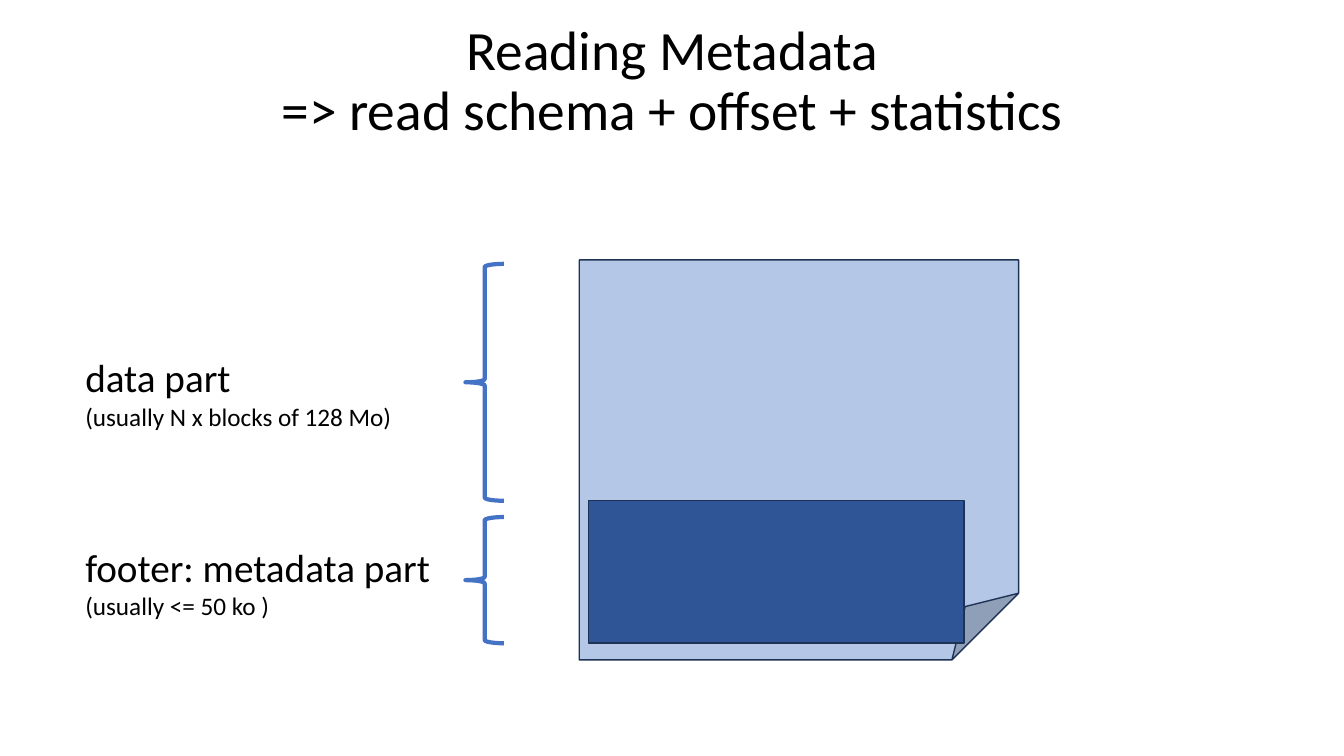
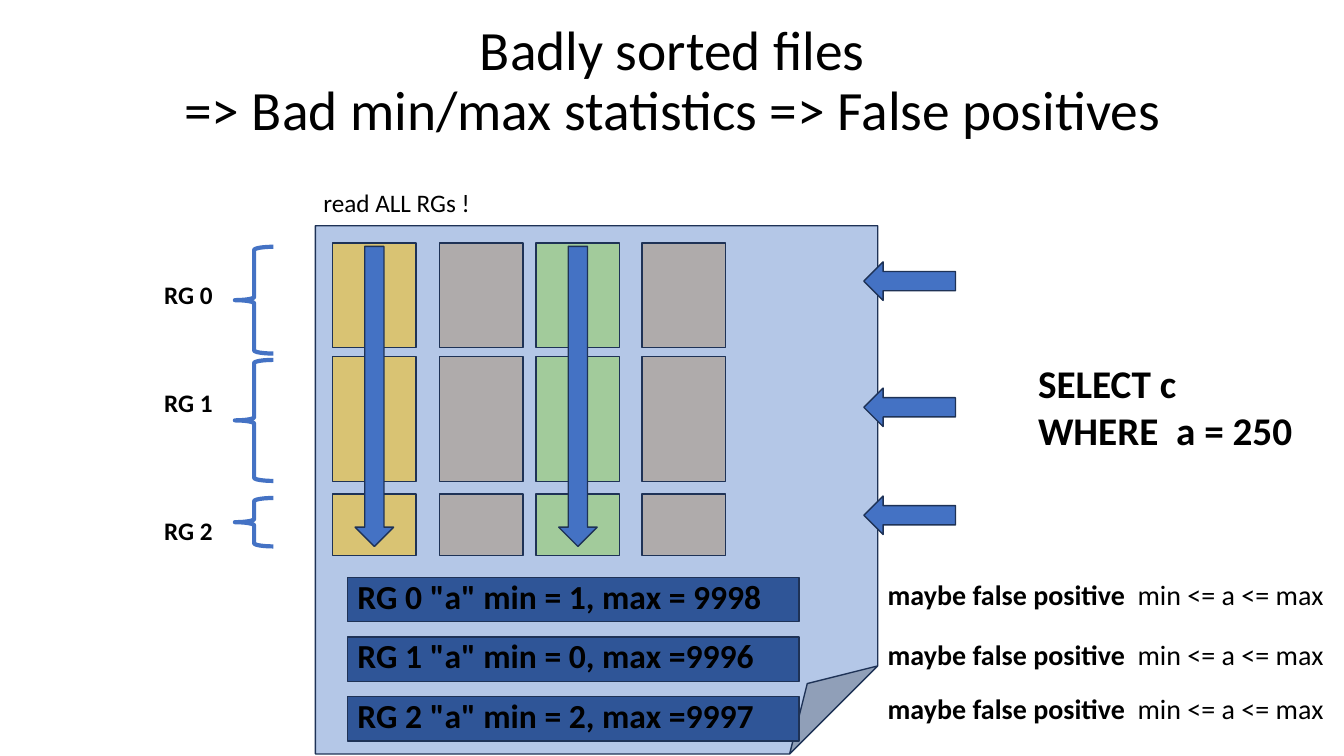
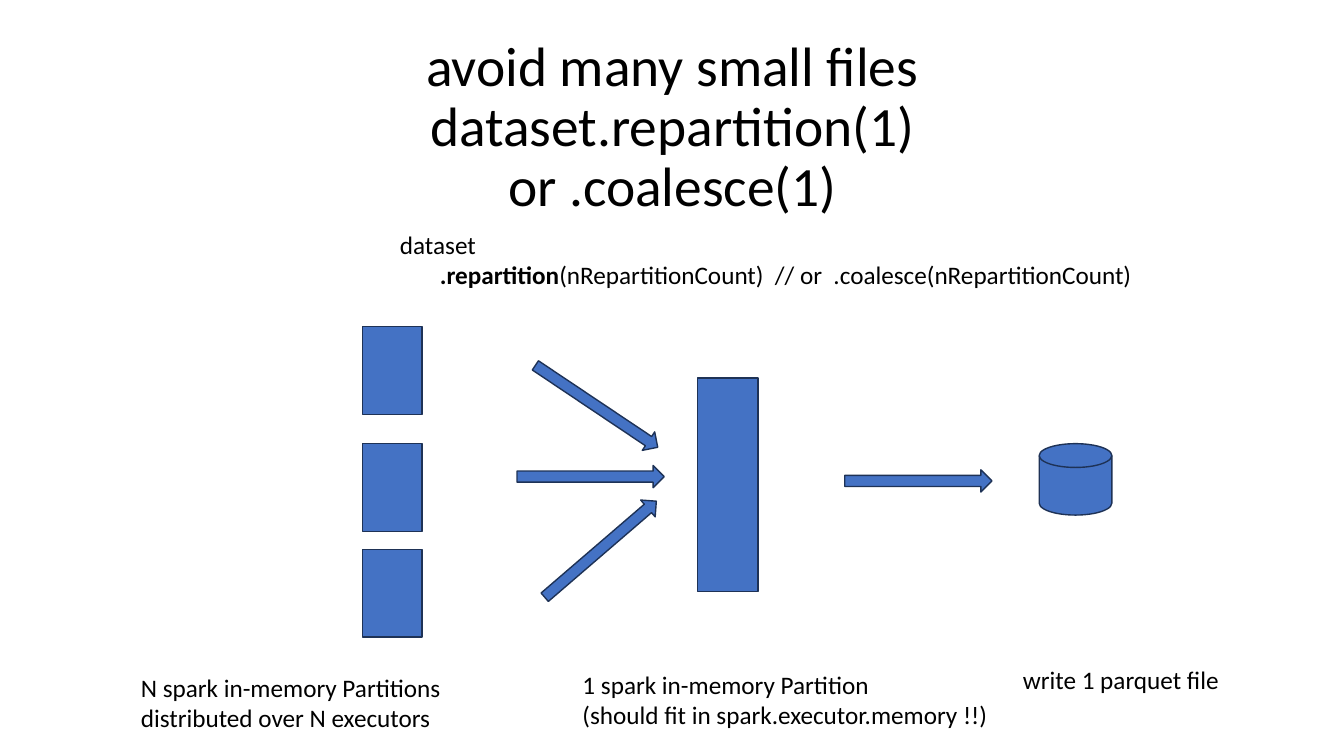
from dataclasses import dataclass

from lxml import etree
from pptx import Presentation
from pptx import util as u
from pptx.dml.color import RGBColor
from pptx.enum import shapes, text
from pptx.oxml.ns import qn

SHAPE = shapes.MSO_SHAPE


@dataclass(frozen=True)
class Theme:
    font: str = "Calibri"
    ink: str = "000000"
    outline: str = "1E3256"
    accent: str = "4472C4"
    file: str = "B4C7E7"
    metadata: str = "2F5597"
    unread: str = "AFABAB"
    filter_column: str = "FFC000"
    result_column: str = "92D050"
    title_size: float = 39.6
    large: int = 28
    medium: int = 24
    verdict: int = 20
    small: int = 18
    thin: int = 1
    thick: int = 3


THEME = Theme()
TITLE_LEFT, TITLE_WIDTH = 2.34, 29.21


# Formatting helpers
def apply(target, values):
    for name, value in values.items():
        setattr(target, name, value)


def place(shape, left, top, width, height):
    apply(shape, {"left": u.Cm(left), "top": u.Cm(top),
                  "width": u.Cm(width), "height": u.Cm(height)})


def style_font(font, size, **formats):
    apply(font, {"name": THEME.font, "size": u.Pt(size), **formats})
    font.color.rgb = RGBColor.from_string(THEME.ink)


def add_tab_stop(paragraph, position):
    tabs = etree.SubElement(paragraph._p.get_or_add_pPr(), qn("a:tabLst"))
    etree.SubElement(tabs, qn("a:tab"), pos=str(u.Cm(position)), algn="l")


def set_opacity(shape, percent):
    colour = shape.fill._xPr.find(qn("a:solidFill"))[0]
    etree.SubElement(colour, qn("a:alpha"), val=str(percent * 1000))


# Kinds of element
def add_title_slide(presentation, lines, top, height):
    slide = presentation.slides.add_slide(presentation.slide_layouts[5])
    title = slide.shapes.title
    place(title, TITLE_LEFT, top, TITLE_WIDTH, height)
    frame = title.text_frame
    frame.text = "\v".join(lines)
    apply(frame, {"auto_size": text.MSO_AUTO_SIZE.NONE, "word_wrap": True,
                  "vertical_anchor": text.MSO_ANCHOR.MIDDLE})
    paragraph = frame.paragraphs[0]
    apply(paragraph, {"alignment": text.PP_ALIGN.CENTER, "line_spacing": 0.9})
    for run in paragraph.runs:
        style_font(run.font, THEME.title_size)
    return slide


def add_box(slide, kind, at, fill, rotation=0, opacity=None):
    shape = slide.shapes.add_shape(kind, *map(u.Cm, at))
    shape.shadow.inherit = False
    shape.rotation = rotation
    shape.fill.solid()
    shape.fill.fore_color.rgb = RGBColor.from_string(fill)
    if opacity:
        set_opacity(shape, opacity)
    shape.line.color.rgb = RGBColor.from_string(THEME.outline)
    shape.line.width = u.Pt(THEME.thin)
    return shape


def add_brace(slide, left, top, height):
    brace = add_box(slide, SHAPE.LEFT_BRACE, (left, top, 0.97, height), THEME.accent)
    brace.fill.background()
    brace.line.color.rgb = RGBColor.from_string(THEME.accent)
    brace.line.width = u.Pt(THEME.thick)


def add_label(slide, at, lines, tab=None):
    """Each line is a list of (wording, size, bold) runs."""
    frame = slide.shapes.add_textbox(*map(u.Cm, at)).text_frame
    apply(frame, {"word_wrap": True, "margin_right": 0})
    for index, runs in enumerate(lines):
        paragraph = frame.add_paragraph() if index else frame.paragraphs[0]
        if tab:
            add_tab_stop(paragraph, tab)
        for wording, size, bold in runs:
            run = paragraph.add_run()
            run.text = wording
            style_font(run.font, size, bold=bold)


def add_statistics_bar(slide, at, wording):
    bar = add_box(slide, SHAPE.RECTANGLE, at, THEME.metadata)
    frame = bar.text_frame
    apply(frame, {"margin_top": 0, "margin_bottom": u.Cm(0.2), "word_wrap": True,
                  "vertical_anchor": text.MSO_ANCHOR.MIDDLE})
    paragraph = frame.paragraphs[0]
    paragraph.alignment = text.PP_ALIGN.LEFT
    run = paragraph.add_run()
    run.text = wording
    style_font(run.font, THEME.medium, bold=True)


# Slides
def build_metadata_slide(presentation):
    slide = add_title_slide(
        presentation,
        ["Reading Metadata", "=> read schema + offset + statistics"], 0.38, 3.4)
    add_box(slide, SHAPE.FOLDED_CORNER, (14.6, 6.55, 11.07, 10.08), THEME.file)
    add_box(slide, SHAPE.RECTANGLE, (14.83, 12.62, 9.47, 3.58), THEME.metadata)
    parts = [
        ("data part", "(usually N x blocks of 128 Mo)", 8.79, 6.65, 5.97),
        ("footer: metadata part", "(usually <= 50 ko )", 13.56, 13.03, 3.18),
    ]
    for name, detail, label_top, brace_top, brace_height in parts:
        add_brace(slide, 11.73, brace_top, brace_height)
        add_label(slide, (1.9, label_top, 9.5, 2.24),
                  [[(name, THEME.large, False)], [(detail, THEME.small, False)]])


def build_sorting_slide(presentation):
    slide = add_title_slide(
        presentation,
        ["Badly sorted files", "=> Bad min/max statistics => False positives"],
        0.33, 3.48)
    add_label(slide, (7.9, 4.6, 5, 1.02), [[("read ALL RGs !", THEME.small, False)]])
    add_box(slide, SHAPE.FOLDED_CORNER, (7.95, 5.69, 14.17, 13.31), THEME.file)

    # Column chunks: left, fill, opacity
    chunk_width, arrow_width = 2.11, 0.97
    columns = [
        (8.38, THEME.filter_column, 50),
        (11.07, THEME.unread, None),
        (13.51, THEME.result_column, 50),
        (16.18, THEME.unread, None),
    ]
    # Row groups: chunk top and height, brace top and height,
    # then tops of label, arrow, bar and verdict
    groups = [
        ('RG 0 "a" min = 1, max = 9998', 6.12, 2.64, 6.22, 2.69, 6.91, 6.6, 14.55, 14.43),
        ('RG 1 "a" min = 0, max =9996', 8.98, 3.15, 9.07, 3.05, 9.63, 9.78, 16.05, 15.95),
        ('RG 2 "a" min = 2, max =9997', 12.45, 1.55, 12.55, 1.22, 12.85, 12.5, 17.55, 17.3),
    ]
    for index, (statistics, top, height, brace_top, brace_height,
                label_top, arrow_top, bar_top, verdict_top) in enumerate(groups):
        for left, fill, opacity in columns:
            add_box(slide, SHAPE.RECTANGLE, (left, top, chunk_width, height),
                    fill, opacity=opacity)
        add_brace(slide, 5.92, brace_top, brace_height)
        add_label(slide, (3.89, label_top, 2, 1.02),
                  [[(f"RG {index}", THEME.small, True)]])
        add_box(slide, SHAPE.LEFT_ARROW, (21.77, arrow_top, 2.31, 0.97), THEME.accent)
        add_statistics_bar(slide, (8.76, bar_top, 11.38, 1.12), statistics)
        add_label(slide, (22.12, verdict_top, 11.74, 1.12),
                  [[("maybe false positive", THEME.verdict, True),
                    ("\tmin <= a <= max", THEME.verdict, False)]], tab=6.3)

    # Columns that are read in full
    for left, _, opacity in columns:
        if opacity:
            arrow_left = left + (chunk_width - arrow_width) / 2
            add_box(slide, SHAPE.DOWN_ARROW,
                    (arrow_left, 6.21, arrow_width, 7.56), THEME.accent)

    add_label(slide, (25.91, 8.94, 7.6, 2.64),
              [[("SELECT c", THEME.large, True)],
               [("WHERE  a = 250", THEME.large, True)]])


def build_repartition_slide(presentation):
    slide = add_title_slide(
        presentation,
        ["avoid many small files", "dataset.repartition(1)", "or .coalesce(1)"],
        1.02, 4.42)
    add_label(slide, (9.83, 5.66, 19.99, 1.8),
              [[("dataset", THEME.small, False)],
               [("       ", THEME.small, False),
                (".repartition", THEME.small, True),
                ("(nRepartitionCount)  // or  .coalesce(nRepartitionCount)",
                 THEME.small, False)]])

    # Partitions and the written file
    for top in (8.23, 11.18, 13.84):
        add_box(slide, SHAPE.RECTANGLE, (9.14, top, 1.5, 2.21), THEME.accent)
    add_box(slide, SHAPE.RECTANGLE, (17.58, 9.53, 1.52, 5.38), THEME.accent)
    add_box(slide, SHAPE.FLOWCHART_MAGNETIC_DISK, (26.19, 11.18, 1.83, 1.8), THEME.accent)

    # Data flow: left, top, rotation
    arrows = [(13.18, 9.96, 33.8), (13.03, 11.73, 0),
              (13.28, 13.56, 319.3), (21.29, 11.84, 0)]
    for left, top, rotation in arrows:
        add_box(slide, SHAPE.RIGHT_ARROW, (left, top, 3.71, 0.56),
                THEME.accent, rotation)

    captions = [
        (3.3, 16.81, 8.6, ["N spark in-memory Partitions", "distributed over N executors"]),
        (14.43, 16.74, 11, ["1 spark in-memory Partition",
                            "(should fit in spark.executor.memory !!)"]),
        (25.53, 16.61, 6, ["write 1 parquet file"]),
    ]
    for left, top, width, lines in captions:
        add_label(slide, (left, top, width, 0.9 * len(lines)),
                  [[(line, THEME.small, False)] for line in lines])


def main():
    presentation = Presentation()
    apply(presentation, {"slide_width": u.Cm(33.87), "slide_height": u.Cm(19.05)})
    build_metadata_slide(presentation)
    build_sorting_slide(presentation)
    build_repartition_slide(presentation)
    presentation.save("out.pptx")


if __name__ == "__main__":
    main()
